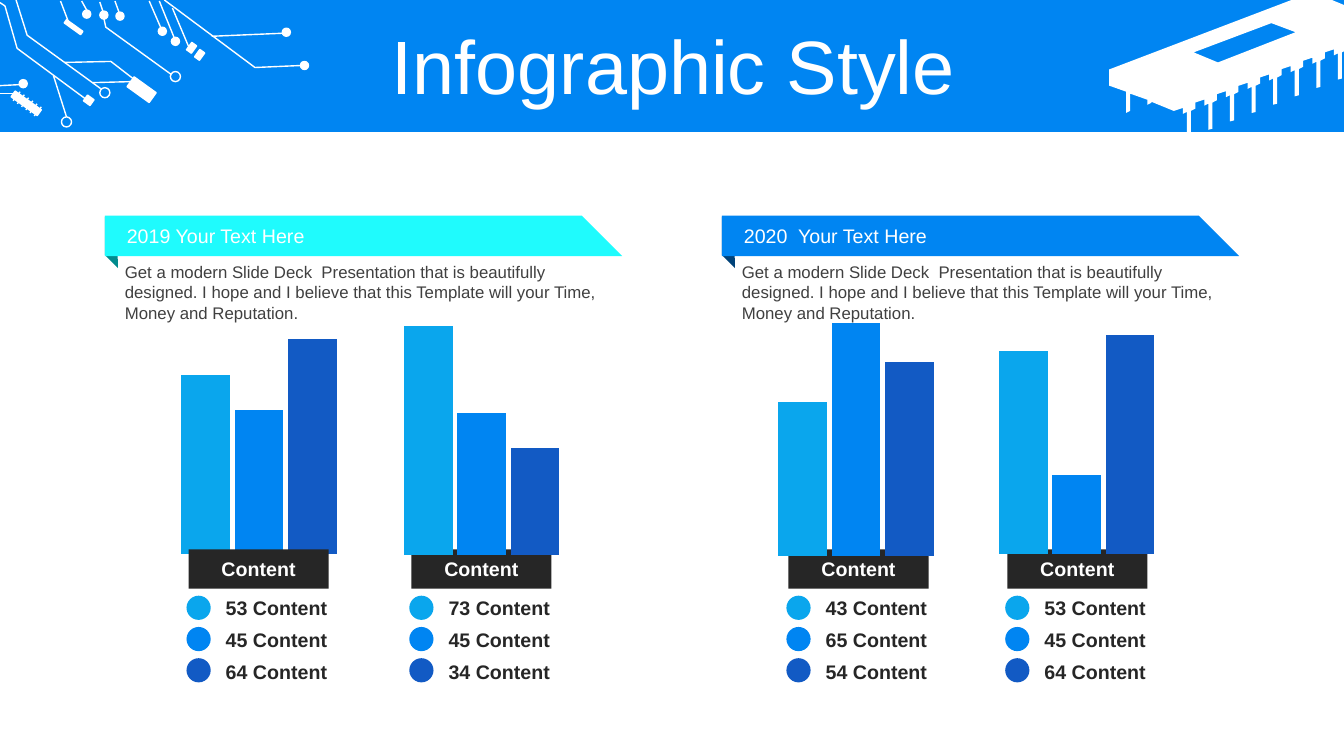
from dataclasses import dataclass
from typing import Optional

from lxml import etree
from pptx import Presentation
from pptx import util as u
from pptx.chart import data
from pptx.dml import color
from pptx.enum import chart as ch
from pptx.enum import shapes, text
from pptx.oxml import ns, parse_xml

HUE = {"white": "FFFFFF", "sky": "0AA6ED", "blue": "0085F2", "navy": "125AC4",
       "dark": "262626", "gray": "404040", "aqua": "1FFBFD",
       "teal": "018B8D", "deep": "004279"}
TONES = ("sky", "blue", "navy")
TILT = 35.7
RECT, OVAL = shapes.MSO_SHAPE.RECTANGLE, shapes.MSO_SHAPE.OVAL
BODY = ("Get a modern Slide Deck  Presentation that is beautifully designed. "
        "I hope and I believe that this Template will your Time, Money and Reputation.")
Point = tuple[float, float]


@dataclass
class Pad:
    x: float
    y: float
    w: float
    h: float


@dataclass
class Wire:
    start: Point
    end: Point
    pad: Optional[int] = None  # pad whose left side the wire meets


@dataclass
class Panel:
    x: float
    title: str
    front: str
    fold: str


@dataclass
class Column:
    x: float
    left: float
    top: float
    bars: tuple[int, int, int]
    counts: tuple[int, int, int]
    low: float
    high: float
    behind: bool = False


PADS = [Pad(1.27, 0.83, 0.27, 0.12), Pad(0.63, 0.25, 0.2, 0.04), Pad(0.84, 0.96, 0.08, 0.07),
        Pad(1.87, 0.43, 0.06, 0.09), Pad(1.95, 0.5, 0.06, 0.09), Pad(0.1, 0.99, 0.32, 0.07)]
DOTS = [(2.98, 0.61), (2.8, 0.28), (0.82, 0.1), (0.99, 0.11), (1.15, 0.12),
        (0.19, 0.79), (1.7, 0.37), (1.57, 0.27)]
RINGS = [(1.69, 0.71), (0.99, 0.87), (0.61, 1.16)]
WIRES = [Wire((0.6, 0.01), (0.68, 0.22)), Wire((0.81, 0.01), (0.86, 0.1)),
         Wire((0.99, 0.02), (1.02, 0.11)), Wire((1.14, 0.01), (1.18, 0.12)),
         Wire((1.48, 0.01), (1.61, 0.31)), Wire((1.58, 0.01), (1.73, 0.38)),
         Wire((2.1, 0.36), (2.8, 0.33)), Wire((1.71, 0.08), (1.87, 0.46), 3),
         Wire((-0.01, 0.85), (0.19, 0.84)), Wire((-0.01, 0.93), (0.14, 0.93), 5),
         Wire((0.53, 0.75), (0.66, 1.16)), Wire((0.92, 0.82), (1.3, 0.81), 0)]
RIDGES = [Wire((0.13 + 0.042 * i, 1 + 0.03 * i), (0.2 + 0.042 * i, 0.91 + 0.03 * i))
          for i in range(6)]
TRACES = [[(1.63, 0), (2.53, 0.67), (2.99, 0.65)],
          [(0.16, 0), (0.27, 0.35), (1, 0.88)],
          [(-0.01, 0.02), (0.05, 0.06), (0.17, 0.48), (0.86, 0.99)],
          [(0.64, 0.62), (1.1, 0.61), (1.32, 0.78)],
          [(1.03, 0.18), (1.05, 0.27), (1.7, 0.74)]]
PANELS = [Panel(1.04, "2019 Your Text Here", "aqua", "teal"),
          Panel(7.16, "2020  Your Text Here", "blue", "deep")]
COLUMNS = [Column(1.85, 1.39, 2.95, (83, 67, 100), (53, 45, 64), 0, 116.7, True),
           Column(4.06, 3.6, 2.96, (100, 62, 47), (73, 45, 34), 0, 110),
           Column(7.8, 7.31, 2.97, (66, 100, 83), (43, 65, 54), 0, 107.7),
           Column(9.97, 9.5, 2.95, (98, 83, 100), (53, 45, 64), 73.5, 103.9)]

deck = Presentation()
deck.slide_width, deck.slide_height = u.Inches(13.33), u.Inches(7.5)
slide = deck.slides.add_slide(deck.slide_layouts[6])
parts = slide.shapes


def rgb(name: str) -> color.RGBColor:
    return color.RGBColor.from_string(HUE[name])


def inch(*vals: float) -> list[u.Length]:
    return [u.Inches(v) for v in vals]


def paint(shape, fill: Optional[str] = None, line: Optional[str] = None):
    shape.shadow.inherit = False
    if fill:
        shape.fill.solid()
        shape.fill.fore_color.rgb = rgb(fill)
    else:
        shape.fill.background()
    if line:
        shape.line.color.rgb = rgb(line)
        shape.line.width = u.Pt(1)
    else:
        shape.line.fill.background()
    return shape


def block(kind, x: float, y: float, w: float, h: float, **look):
    return paint(parts.add_shape(kind, *inch(x, y, w, h)), **look)


def outline(*loops: list[Point], close: bool = True, **look):
    pen = parts.build_freeform(*inch(*loops[0][0]), scale=1.0)
    for i, loop in enumerate(loops):
        if i:
            pen.move_to(*inch(*loop[0]))
        pen.add_line_segments([tuple(inch(*p)) for p in loop[1:]], close=close)
    return paint(pen.convert_to_shape(), **look)


def write(words: str, shape=None, at: tuple = (), size: int = 14, hue: str = "white",
          bold: bool = False, center: bool = False, mid: bool = True, space: float = 1.0):
    box = shape or parts.add_textbox(*inch(*at))
    frame = box.text_frame
    frame.word_wrap = True
    frame.vertical_anchor = text.MSO_ANCHOR.MIDDLE if mid else text.MSO_ANCHOR.TOP
    para = frame.paragraphs[0]
    para.alignment = text.PP_ALIGN.CENTER if center else text.PP_ALIGN.LEFT
    para.line_spacing = space
    run = para.add_run()
    run.text = words
    run.font.name, run.font.size, run.font.bold = "Arial", u.Pt(size), bold
    run.font.color.rgb = rgb(hue)


def link(wire: Wire, pads: list) -> None:
    line = parts.add_connector(shapes.MSO_CONNECTOR.STRAIGHT, *inch(*wire.start, *wire.end))
    if wire.pad is not None:
        line.end_connect(pads[wire.pad], 1)
        line.end_x, line.end_y = inch(*wire.end)  # the pad is tilted
    line.line.color.rgb = rgb("white")
    line.line.width = u.Pt(1)
    etree.SubElement(line._element.spPr, ns.qn("a:effectLst"))


def plot(col: Column) -> None:
    feed = data.CategoryChartData()
    feed.categories = ["1"]
    for i, val in enumerate(col.bars, 1):
        feed.add_series(f"Series {i}", [val])
    chart = parts.add_chart(ch.XL_CHART_TYPE.COLUMN_CLUSTERED,
                            *inch(col.left, col.top, 2.36, 2.6), feed).chart
    chart.has_legend = chart.has_title = False
    chart.font.name, chart.font.size = "Arial", u.Pt(18)
    axis = chart.value_axis
    axis.minimum_scale, axis.maximum_scale = col.low, col.high
    axis.has_major_gridlines = False
    axis.visible = chart.category_axis.visible = False
    bars = chart.plots[0]
    bars.gap_width, bars.overlap, bars.vary_by_categories = 150, -9, False
    for row, tone in zip(bars.series, TONES):
        row.format.fill.solid()
        row.format.fill.fore_color.rgb = rgb(tone)
    # Plot area fills all but a thin margin
    area = chart._chartSpace.chart.plotArea
    for old in area.findall(ns.qn("c:layout")):
        area.remove(old)
    area.insert(0, parse_xml(
        f'<c:layout {ns.nsdecls("c")}><c:manualLayout><c:layoutTarget val="inner"/>'
        '<c:xMode val="edge"/><c:yMode val="edge"/><c:x val="0.02"/><c:y val="0.02"/>'
        '<c:w val="0.96"/><c:h val="0.96"/></c:manualLayout></c:layout>'))


def label(col: Column) -> None:
    box = block(RECT, col.x + 0.02, 5.45, 1.39, 0.39, fill="dark")
    write("Content", box, bold=True, center=True)


# Header band and chip
block(RECT, 0, 0, 13.33, 1.31, fill="blue")
TOOTH = [(13.31, 0.52), (13.31, 0.78), (13.27, 0.79), (13.27, 0.53),
         (13.23, 0.55), (13.23, 0.49), (13.14, 0.52), (13.14, 0.58)]
pins = [(x - 0.214 * i, y + 0.083 * i) for i in range(8) for x, y in TOOTH][:-1]
outline([(12.61, 0.23), (11.84, 0.52), (12.08, 0.62), (12.85, 0.32)],
        [(12.81, 0), (13.21, 0), (13.33, 0.05), (13.33, 0.51), *pins,
         (11.42, 1.01), (11.42, 1.02), (11.38, 1.04), (11.38, 0.99), (11.21, 0.93),
         (11.21, 1.1), (11.17, 1.12), (11.17, 0.91), (11, 0.85), (11, 0.69)], fill="white")

# Circuit traces
pads = [block(RECT, p.x, p.y, p.w, p.h, fill="white", line="white") for p in PADS]
for pad in pads:
    pad.rotation = TILT
for x, y in DOTS:
    block(OVAL, x, y, 0.08, 0.08, fill="white", line="white")
for x, y in RINGS:
    block(OVAL, x, y, 0.1, 0.1, line="white")
for trace in TRACES:
    outline(trace, close=False, line="white")
for wire in WIRES + RIDGES:
    link(wire, pads)

write("Infographic Style", at=(0.35, 0.3, 12.66, 0.79), size=54, center=True, space=0.9)

# Ribbons with their text
for p in PANELS:
    x = p.x
    outline([(x + 0.12, 2.16), (x, 2.15), (x, 2.53), (x + 0.13, 2.66)], fill=p.fold)
    outline([(x, 2.14), (x + 4.73, 2.14), (x + 5.13, 2.54), (x, 2.54)], fill=p.front)
    write(p.title, at=(x + 0.12, 2.17, 2.73, 0.34), mid=False)
    write(BODY, at=(x + 0.1, 2.55, 5.04, 0.71), size=12, hue="gray", mid=False)

# Charts, labels and keys
for col in COLUMNS:
    for draw in (plot, label) if col.behind else (label, plot):
        draw(col)
    for i, (tone, count) in enumerate(zip(TONES, col.counts)):
        block(OVAL, col.x, 5.91 + 0.31 * i, 0.24, 0.24, fill=tone)
        write(f"{count} Content", at=(col.x + 0.29, 5.86 + 0.315 * i, 1.22, 0.34),
              hue="dark", bold=True)

deck.save("out.pptx")
